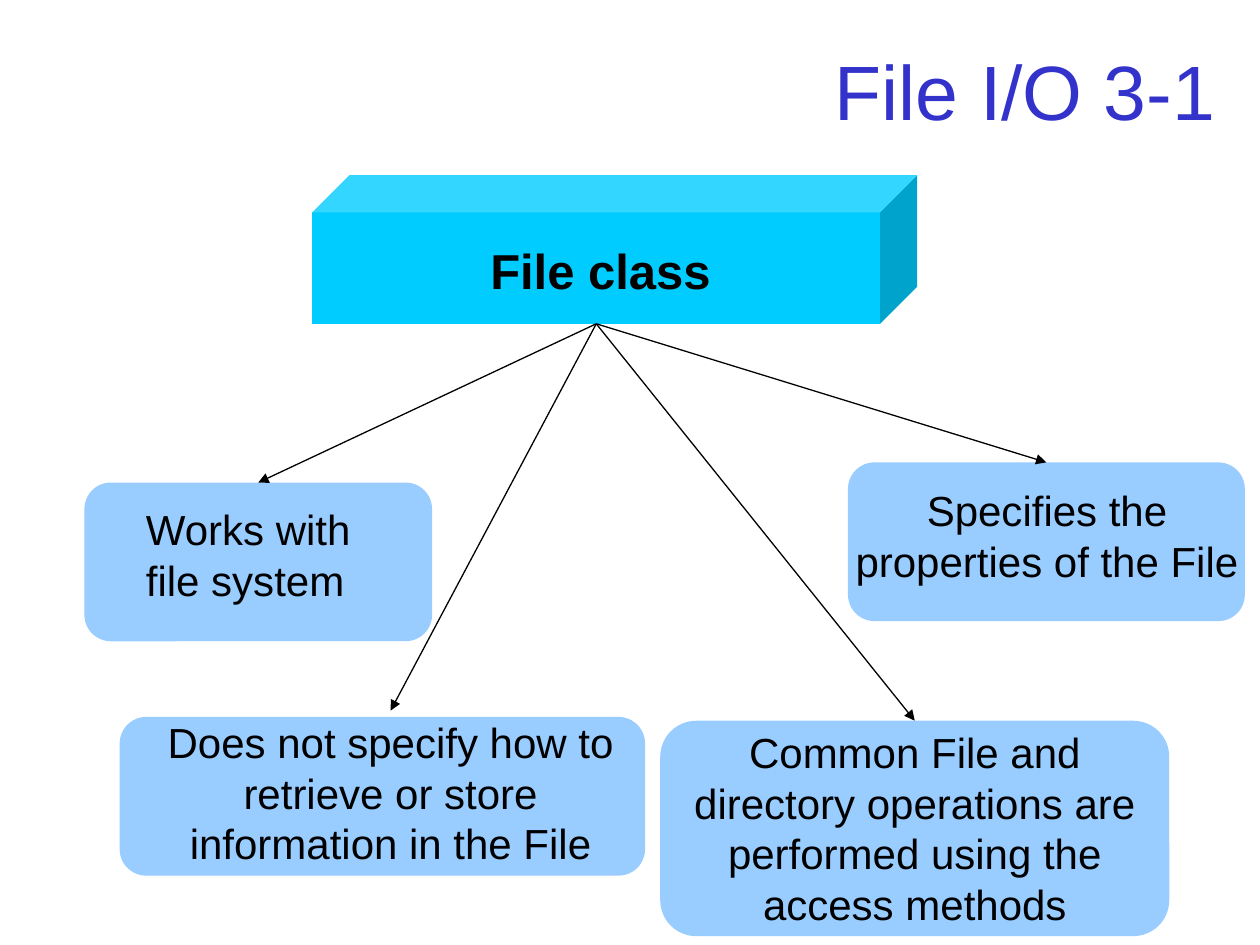
from dataclasses import dataclass
from typing import NamedTuple

from lxml.etree import SubElement
from pptx import Presentation
from pptx.dml.color import RGBColor
from pptx.enum.shapes import MSO_CONNECTOR, MSO_SHAPE
from pptx.enum.text import MSO_ANCHOR, MSO_AUTO_SIZE, PP_ALIGN
from pptx.oxml.ns import qn
from pptx.util import Inches, Pt


@dataclass(frozen=True)
class Theme:
    font: str = "Arial"
    title: RGBColor = RGBColor(0x33, 0x33, 0xCC)
    cube: RGBColor = RGBColor(0x00, 0xCC, 0xFF)
    card: RGBColor = RGBColor(0x99, 0xCC, 0xFF)
    ink: RGBColor = RGBColor(0x00, 0x00, 0x00)
    title_size: int = 44
    head_size: int = 28
    body_size: int = 24
    line_width: float = 0.75


class Box(NamedTuple):
    left: float
    top: float
    width: float
    height: float

    @property
    def top_center(self) -> tuple[float, float]:
        return self.left + self.width / 2, self.top

    def inches(self) -> list[Inches]:
        return [Inches(v) for v in self]


@dataclass(frozen=True)
class Node:
    text: str
    body: Box
    label: Box
    align: PP_ALIGN = PP_ALIGN.CENTER

    @property
    def tip(self) -> tuple[float, float]:
        return min(self.body, self.label, key=lambda box: box.top).top_center


THEME = Theme()
CUBE_DEPTH = 0.25
CARD_ROUNDING = 0.167

ROOT = Node("File class", Box(2.48, 1.39, 4.8, 1.18), Box(3.74, 1.86, 2.05, 0.57))
CARDS = [
    Node("Works with file system", Box(0.67, 3.83, 2.76, 1.26),
         Box(1.06, 3.95, 1.89, 0.9), PP_ALIGN.LEFT),
    Node("Does not specify how to retrieve or store information in the File",
         Box(0.95, 5.69, 4.17, 1.26), Box(1.08, 5.64, 4.04, 1.3)),
    Node("Common File and directory operations are performed using the access methods",
         Box(5.24, 5.72, 4.04, 1.71), Box(5.3, 5.72, 3.92, 1.7)),
    Node("Specifies the properties of the File", Box(6.73, 3.67, 3.15, 1.26),
         Box(6.58, 3.8, 3.46, 0.9)),
]


def style(p, size: int, color: RGBColor, align: PP_ALIGN, bold: bool = False) -> None:
    p.alignment = align
    p.font.name = THEME.font
    p.font.size = Pt(size)
    p.font.bold = bold
    p.font.color.rgb = color


def add_title(s, text: str) -> None:
    title = s.shapes.title
    title.left, title.top, title.width, title.height = Box(0.75, 0.28, 9, 0.87).inches()
    tf = title.text_frame
    tf.text = text
    tf.vertical_anchor = MSO_ANCHOR.MIDDLE
    style(tf.paragraphs[0], THEME.title_size, THEME.title, PP_ALIGN.RIGHT)


def add_node(s, node: Node, kind: MSO_SHAPE, adjustment: float, fill: RGBColor,
             size: int, bold: bool = False) -> None:
    group = s.shapes.add_group_shape()
    sp = group.shapes.add_shape(kind, *node.body.inches())
    sp.adjustments[0] = adjustment
    sp.shadow.inherit = False
    sp.fill.solid()
    sp.fill.fore_color.rgb = fill
    sp.line.fill.background()

    tf = group.shapes.add_textbox(*node.label.inches()).text_frame
    tf.word_wrap = True
    tf.auto_size = MSO_AUTO_SIZE.SHAPE_TO_FIT_TEXT
    tf.text = node.text
    style(tf.paragraphs[0], size, THEME.ink, node.align, bold)


def add_arrow(s, start: tuple[float, float], end: tuple[float, float]) -> None:
    arrow = s.shapes.add_connector(
        MSO_CONNECTOR.STRAIGHT, *[Inches(v) for v in (*start, *end)])
    arrow.line.color.rgb = THEME.ink
    arrow.line.width = Pt(THEME.line_width)
    SubElement(arrow.line._get_or_add_ln(), qn("a:tailEnd"), type="triangle")
    SubElement(arrow._element.spPr, qn("a:effectLst"))


def main() -> None:
    prs = Presentation()
    prs.slide_width, prs.slide_height = Inches(10), Inches(7.5)
    s = prs.slides.add_slide(prs.slide_layouts[5])
    add_title(s, "File I/O 3-1")
    add_node(s, ROOT, MSO_SHAPE.CUBE, CUBE_DEPTH, THEME.cube, THEME.head_size, bold=True)
    for card in CARDS:
        add_node(s, card, MSO_SHAPE.ROUNDED_RECTANGLE, CARD_ROUNDING, THEME.card,
                 THEME.body_size)

    body = ROOT.body
    front_width = body.width - CUBE_DEPTH * body.height
    origin = body.left + front_width / 2, body.top + body.height
    for card in CARDS:
        add_arrow(s, origin, card.tip)
    prs.save("out.pptx")


if __name__ == "__main__":
    main()
